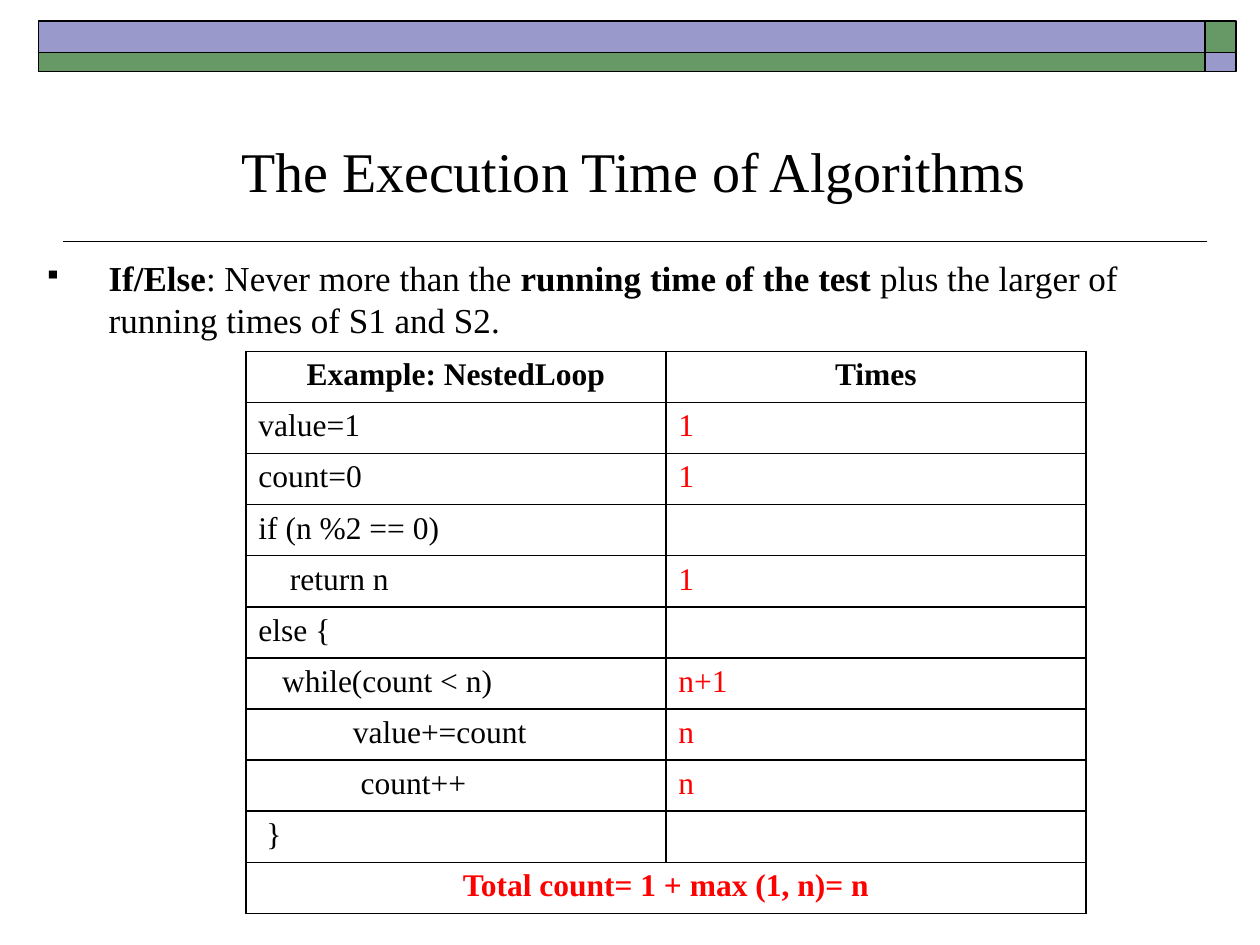
from typing import NamedTuple

from lxml.etree import SubElement
from pptx import Presentation
from pptx.dml.color import RGBColor
from pptx.enum.shapes import MSO_CONNECTOR, MSO_SHAPE
from pptx.enum.text import MSO_ANCHOR, MSO_AUTO_SIZE, PP_ALIGN
from pptx.oxml import parse_xml
from pptx.oxml.ns import nsdecls, qn
from pptx.util import Pt

FONT = "Times New Roman"
BLACK, RED, GREEN, LAVENDER = "000000", "FF0000", "669966", "9999CC"


class Band(NamedTuple):
    left: float
    top: float
    width: float
    height: float
    color: str


class Step(NamedTuple):
    code: str
    times: str


BANDS = [
    Band(688.5, 12, 18, 18, GREEN),
    Band(22, 12, 666.5, 18, LAVENDER),
    Band(22, 30, 666.5, 11, GREEN),
    Band(688.5, 30, 18, 11, LAVENDER),
]
STEPS = [
    Step("value=1", "1"),
    Step("count=0", "1"),
    Step("if (n %2 == 0)", ""),
    Step("    return n", "1"),
    Step("else {", ""),
    Step("   while(count < n)", "n+1"),
    Step("            value+=count", "n"),
    Step("             count++", "n"),
    Step(" }", ""),
]
RULE = [
    ("If/Else", True),
    (": Never more than the ", False),
    ("running time of the test ", True),
    ("plus the larger of running times of S1 and S2.", False),
]


def rgb(color: str) -> RGBColor:
    """Turn a hex string into a colour."""
    return RGBColor.from_string(color)


def style(para, size: float, color: str = BLACK, bold: bool = False) -> None:
    """Set the font of a whole paragraph."""
    para.font.name = FONT
    para.font.size = Pt(size)
    para.font.color.rgb = rgb(color)
    para.font.bold = bold


def draw_band(page, band: Band) -> None:
    """Draw one outlined block of the header strip."""
    box = page.shapes.add_shape(
        MSO_SHAPE.RECTANGLE, Pt(band.left), Pt(band.top), Pt(band.width), Pt(band.height)
    )
    box.shadow.inherit = False
    box.fill.solid()
    box.fill.fore_color.rgb = rgb(band.color)
    box.line.color.rgb = rgb(BLACK)
    box.line.width = Pt(1)


def draw_divider(page) -> None:
    """Draw the line under the title."""
    line = page.shapes.add_connector(MSO_CONNECTOR.STRAIGHT, Pt(690), Pt(138), Pt(36), Pt(138))
    line.line.color.rgb = rgb(BLACK)
    line.line.width = Pt(1)
    SubElement(line._element.spPr, qn("a:effectLst"))


def write_title(page) -> None:
    """Place and format the title."""
    title = page.shapes.title
    title.left, title.top, title.width, title.height = Pt(56), Pt(84), Pt(612), Pt(36)
    frame = title.text_frame
    frame.text = "The Execution Time of Algorithms"
    frame.auto_size = MSO_AUTO_SIZE.NONE
    frame.vertical_anchor = MSO_ANCHOR.BOTTOM
    frame.paragraphs[0].alignment = PP_ALIGN.CENTER
    style(frame.paragraphs[0], 32)


def write_rule(page) -> None:
    """Write the bulleted rule for if/else."""
    box = page.shapes.add_textbox(Pt(18), Pt(140.5), Pt(684), Pt(60))
    frame = box.text_frame
    frame.word_wrap = True
    frame.margin_top = Pt(6)
    para = frame.paragraphs[0]
    para.line_spacing = Pt(24)
    properties = para._p.get_or_add_pPr()
    properties.set("marL", str(Pt(37)))
    properties.set("indent", str(-Pt(37)))
    color = SubElement(properties, qn("a:buClr"))
    SubElement(color, qn("a:srgbClr"), val=BLACK)
    SubElement(properties, qn("a:buSzPct"), val="70000")
    SubElement(properties, qn("a:buChar"), char="▪")
    style(para, 20)
    for text, bold in RULE:
        span = para.add_run()
        span.text = text
        span.font.bold = bold


def add_borders(cell) -> None:
    """Give a cell a thin black line on every side."""
    properties = cell._tc.get_or_add_tcPr()
    for index, side in enumerate(("lnL", "lnR", "lnT", "lnB")):
        border = parse_xml(
            f'<a:{side} {nsdecls("a")} w="{Pt(1)}"><a:solidFill>'
            f'<a:srgbClr val="{BLACK}"/></a:solidFill></a:{side}>'
        )
        properties.insert(index, border)


def fill_cell(cell, text: str, color: str = BLACK, heading: bool = False) -> None:
    """Write one cell, centred and bold if it is a heading."""
    cell.text = text
    para = cell.text_frame.paragraphs[0]
    para.alignment = PP_ALIGN.CENTER if heading else PP_ALIGN.LEFT
    style(para, 18, color, heading)


def draw_table(page) -> None:
    """Draw the table of steps and their counts."""
    row_count = len(STEPS) + 2
    height = Pt(29.2)
    table = page.shapes.add_table(
        row_count, 2, Pt(140.5), Pt(200.75), Pt(480), height * row_count
    ).table
    table.first_row = table.horz_banding = False
    for row in table.rows:
        row.height = height
    for cell in table.iter_cells():
        cell.fill.background()
        add_borders(cell)
    fill_cell(table.cell(0, 0), "Example: NestedLoop", heading=True)
    fill_cell(table.cell(0, 1), "Times", heading=True)
    for index, step in enumerate(STEPS, start=1):
        fill_cell(table.cell(index, 0), step.code)
        fill_cell(table.cell(index, 1), step.times, RED)
    total = table.cell(row_count - 1, 0)
    total.merge(table.cell(row_count - 1, 1))
    fill_cell(total, "Total count= 1 + max (1, n)= n", RED, heading=True)


def main() -> None:
    """Build the slide and save it."""
    deck = Presentation()
    deck.slide_width, deck.slide_height = Pt(720), Pt(540)
    page = deck.slides.add_slide(deck.slide_layouts.get_by_name("Title Only"))
    draw_divider(page)
    for band in BANDS:
        draw_band(page, band)
    write_rule(page)
    write_title(page)
    draw_table(page)
    deck.save("out.pptx")


if __name__ == "__main__":
    main()
